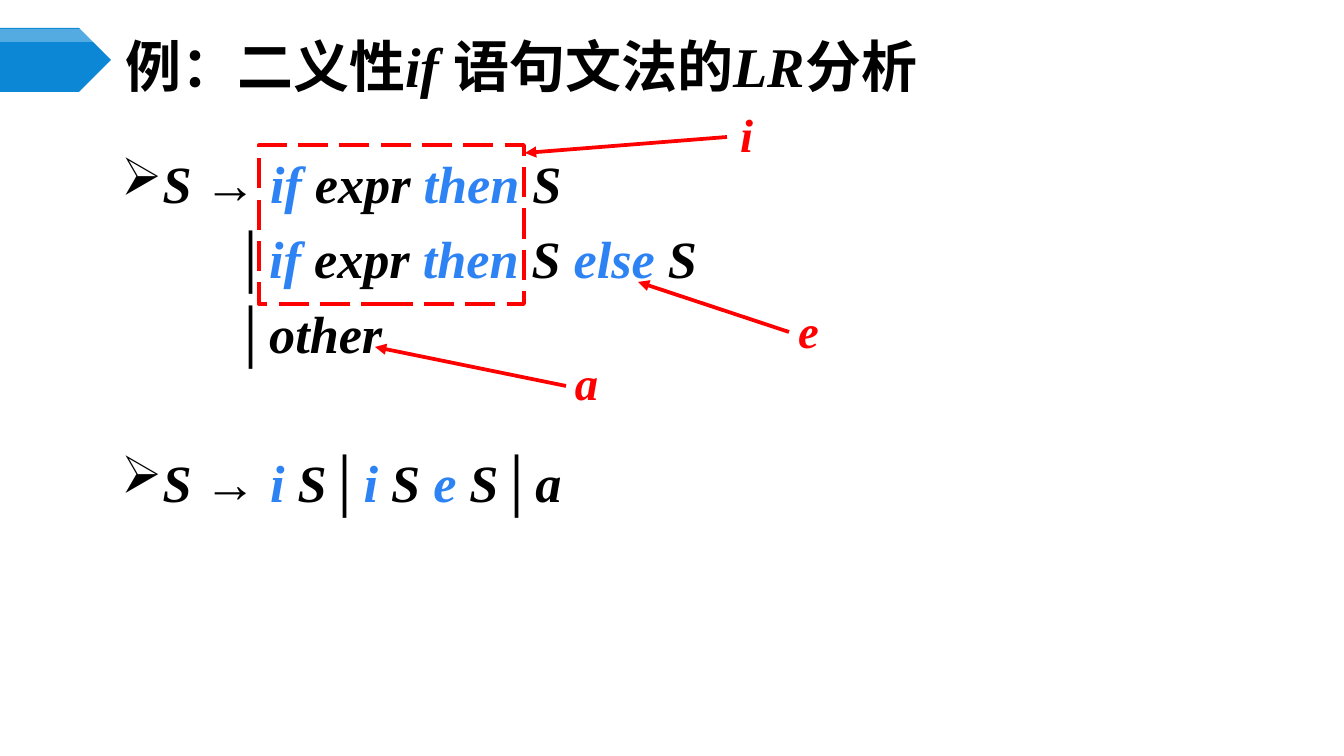
from lxml import etree
from pptx import Presentation
from pptx import util as u
from pptx.dml.color import RGBColor
from pptx.enum import dml, shapes, text
from pptx.oxml.ns import qn

PX = 914400 / 134.4
BLACK = RGBColor(0, 0, 0)
RED = RGBColor(0xFF, 0, 0)
TOKEN_BLUE = RGBColor(0x2D, 0x83, 0xF4)
BANNER_BLUE = RGBColor(0x0B, 0x87, 0xD6)
WHITE = RGBColor(0xFF, 0xFF, 0xFF)
LATIN, CJK = "Times New Roman", "Noto Sans CJK SC"

BASE = {"bold": True, "italic": True, "name": LATIN}
UPRIGHT = {"italic": False}
TOKEN = {"color": TOKEN_BLUE}
HAN = {"italic": False, "name": CJK}

TITLE = [("例：", UPRIGHT), ("二义性", HAN), ("if ", {}), ("语句文法的", HAN),
         ("LR", {}), ("分析", HAN)]

BULLETED = {"margin": 40, "hanging": 40, "bullet": "➢"}
ALTERNATIVE = {"margin": 111}
# Each rule: layout, space before in points, runs
GRAMMAR = [
    (BULLETED, 0, [("S ", {}), ("→ ", UPRIGHT), ("if ", TOKEN), ("expr ", {}),
                   ("then ", TOKEN), ("S", {})]),
    (ALTERNATIVE, 6.5, [("│", UPRIGHT), ("if ", TOKEN), ("expr ", {}), ("then ", TOKEN),
                        ("S ", {}), ("else ", TOKEN), ("S", {})]),
    (ALTERNATIVE, 6.5, [("│", UPRIGHT), ("other", {})]),
    (BULLETED, 46, [("S ", {}), ("→ ", UPRIGHT), ("i ", TOKEN), ("S", {}), ("│", UPRIGHT),
                    ("i ", TOKEN), ("S ", {}), ("e ", TOKEN), ("S", {}), ("│", UPRIGHT),
                    ("a", {})]),
]

# Each abbreviation: letter, label corner, arrow start, arrow end
ABBREVIATIONS = [
    ("i", (715, 113), (727, 137), (525, 153)),
    ("e", (777, 309), (789, 332), (638, 282)),
    ("a", (555, 361), (566, 386), (375, 347)),
]


def px(*lengths):
    return [u.Emu(round(length * PX)) for length in lengths]


def add_runs(paragraph, runs, size, color=BLACK):
    for wording, changes in runs:
        run = paragraph.add_run()
        run.text = wording
        style = {**BASE, "size": u.Pt(size), "color": color, **changes}
        run.font.color.rgb = style.pop("color")
        for key, value in style.items():
            setattr(run.font, key, value)
        east_asian = etree.SubElement(run._r.get_or_add_rPr(), qn("a:ea"))
        east_asian.set("typeface", CJK)


def add_text_frame(slide, box, **settings):
    frame = slide.shapes.add_textbox(*px(*box)).text_frame
    for key, value in settings.items():
        setattr(frame, key, value)
    return frame


def lay_out(paragraph, margin, hanging=0, bullet=None):
    """Set the indents of a paragraph and, if given, its bullet."""
    props = paragraph._p.get_or_add_pPr()
    left, indent = px(margin, -hanging)
    props.set("marL", str(left))
    props.set("indent", str(indent))
    if bullet:
        color = etree.SubElement(props, qn("a:buClr"))
        etree.SubElement(color, qn("a:srgbClr")).set("val", str(BLACK))
        etree.SubElement(props, qn("a:buChar")).set("char", bullet)


def add_banner(slide, box, color, opacity=100):
    banner = slide.shapes.add_shape(shapes.MSO_SHAPE.PENTAGON, *px(*box))
    banner.shadow.inherit = False
    banner.line.fill.background()
    banner.fill.solid()
    banner.fill.fore_color.rgb = color
    if opacity < 100:
        rgb = banner._element.spPr.find(".//" + qn("a:srgbClr"))
        etree.SubElement(rgb, qn("a:alpha")).set("val", str(opacity * 1000))


def add_prefix_frame(slide, box):
    """Dashed frame around the prefix that two alternatives share."""
    frame = slide.shapes.add_shape(shapes.MSO_SHAPE.RECTANGLE, *px(*box))
    frame.shadow.inherit = False
    frame.fill.background()
    frame.line.color.rgb = RED
    frame.line.width = u.Pt(2)
    frame.line.dash_style = dml.MSO_LINE.LONG_DASH


def add_arrow(slide, start, end):
    arrow = slide.shapes.add_connector(shapes.MSO_CONNECTOR.STRAIGHT, *px(*start, *end))
    arrow.line.color.rgb = RED
    arrow.line.width = u.Pt(2)
    etree.SubElement(arrow.line._get_or_add_ln(), qn("a:tailEnd")).set("type", "triangle")
    etree.SubElement(arrow._element.spPr, qn("a:effectLst"))


def add_label(slide, letter, corner):
    frame = add_text_frame(slide, (*corner, 63, 42), word_wrap=False,
                           vertical_anchor=text.MSO_ANCHOR.MIDDLE)
    paragraph = frame.paragraphs[0]
    paragraph.alignment = text.PP_ALIGN.CENTER
    add_runs(paragraph, [(letter, {})], 25, RED)


def add_grammar(slide, box):
    frame = add_text_frame(slide, box, word_wrap=True)
    for number, (layout, space, runs) in enumerate(GRAMMAR):
        rule = frame.add_paragraph() if number else frame.paragraphs[0]
        lay_out(rule, **layout)
        rule.space_before = u.Pt(space)
        add_runs(rule, runs, 28)


def main():
    deck = Presentation()
    deck.slide_width, deck.slide_height = px(1344, 756)
    slide = deck.slides.add_slide(deck.slide_layouts[6])

    add_banner(slide, (0, 28, 111, 64), BANNER_BLUE)
    add_banner(slide, (0, 29, 111, 13), WHITE, opacity=30)
    add_grammar(slide, (108, 145, 871, 474))
    title = add_text_frame(slide, (112, 39, 1165, 52), word_wrap=True,
                           vertical_anchor=text.MSO_ANCHOR.MIDDLE)
    add_runs(title.paragraphs[0], TITLE, 30)

    add_prefix_frame(slide, (259, 145, 265, 159))
    for letter, corner, start, end in ABBREVIATIONS:
        add_arrow(slide, start, end)
        add_label(slide, letter, corner)
    deck.save("out.pptx")


if __name__ == "__main__":
    main()
